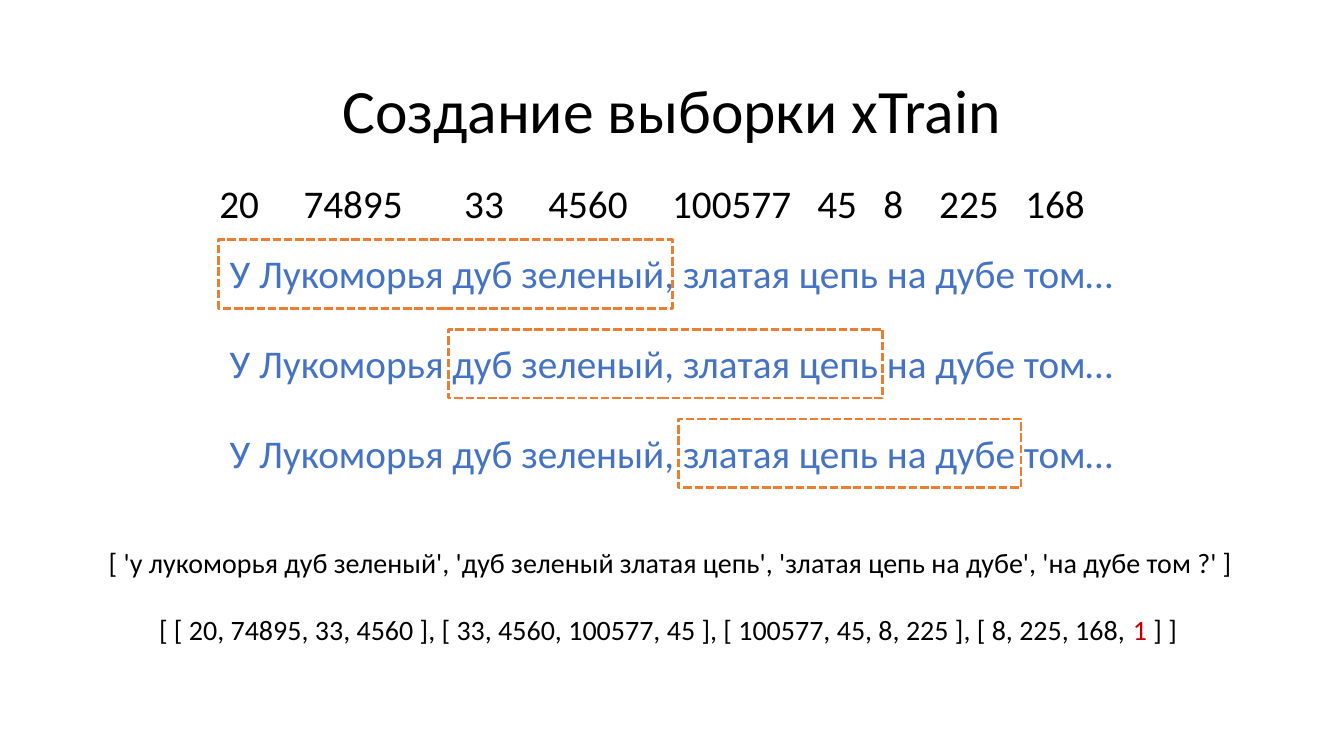
import pptx
import pptx.dml.color
import pptx.enum.dml
import pptx.enum.shapes
import pptx.enum.text
import pptx.util
from lxml import etree
from pptx.util import Cm, Pt

# Content
TITLE = "Создание выборки xTrain"
SENTENCE = "У Лукоморья дуб зеленый, златая цепь на дубе том…"
# Word index and its distance from the first one, cm
INDEXES = [("20", 0), ("74895", 2.12), ("33", 6.17), ("4560", 8.29),
           ("100577", 11.41), ("45", 15.07), ("8", 16.73), ("225", 18.14),
           ("168", 20.31)]
WINDOW_WIDTHS = [11.43, 10.95, 8.64]
WORD_LISTS = ("[ 'у лукоморья дуб зеленый', 'дуб зеленый златая цепь', "
              "'златая цепь на дубе', 'на дубе том ?' ]")
INDEX_LISTS = ("[ [ 20, 74895, 33, 4560 ], [ 33, 4560, 100577, 45 ], "
               "[ 100577, 45, 8, 225 ], [ 8, 225, 168, ")
PADDING_INDEX, CLOSING = "1", " ] ]"

# Theme
THEME = {
    "font": "Calibri",
    "text": "000000", "sentence": "4472C4", "window": "ED7D31",
    "accent": "C00000",
    "title_size": 44, "row_size": 28, "list_size": 20, "dash_width": 2,
}

# Layout, cm
ROW_TOP, ROW_STEP = 6.3, 2.26
WINDOW_LEFT, WINDOW_STEP = 5.51, 5.79
WINDOW_RISE, WINDOW_HEIGHT = 0.26, 1.73


def rgb(name):
    return pptx.dml.color.RGBColor.from_string(THEME[name])


def add_text(s, text, box, size="list_size", color="text", align=None,
             middle=False, wrap=True, spacing=None, before=None, indent=0.25,
             tabs=()):
    """Add a text box; text is a string or a list of (string, color) runs."""
    tf = s.shapes.add_textbox(*map(Cm, box)).text_frame
    tf.word_wrap = wrap
    tf.margin_left = Cm(indent)
    if middle:
        tf.vertical_anchor = pptx.enum.text.MSO_ANCHOR.MIDDLE
    p = tf.paragraphs[0]
    p.alignment = align
    p.line_spacing = spacing
    p.space_before = before
    for part, part_color in [(text, color)] if isinstance(text, str) else text:
        r = p.add_run()
        r.text = part
        r.font.name = THEME["font"]
        r.font.size = Pt(THEME[size])
        r.font.color.rgb = rgb(part_color)
    if tabs:
        ns = pptx.oxml.ns.qn
        tab_list = etree.SubElement(p._p.get_or_add_pPr(), ns("a:tabLst"))
        for pos in tabs:
            etree.SubElement(tab_list, ns("a:tab"), pos=str(Cm(pos)), algn="l")


def add_window(s, left, top, width):
    sp = s.shapes.add_shape(pptx.enum.shapes.MSO_SHAPE.RECTANGLE, Cm(left),
                            Cm(top), Cm(width), Cm(WINDOW_HEIGHT))
    sp.shadow.inherit = False
    sp.fill.background()
    sp.line.color.rgb = rgb("window")
    sp.line.width = Pt(THEME["dash_width"])
    # SQUARE_DOT is stored as sysDot, so the dash value is set afterwards
    sp.line.dash_style = pptx.enum.dml.MSO_LINE.SQUARE_DOT
    sp.line._ln.find(pptx.oxml.ns.qn("a:prstDash")).set("val", "sysDash")


def main():
    prs = pptx.Presentation()
    prs.slide_width, prs.slide_height = Cm(33.87), Cm(19.05)
    s = prs.slides.add_slide(prs.slide_layouts[6])

    # Title
    add_text(s, TITLE, (2.33, 1.01, 29.21, 3.68), size="title_size",
             align=pptx.enum.text.PP_ALIGN.CENTER, middle=True, spacing=0.9)

    # Word indexes
    add_text(s, "\t".join(index for index, _ in INDEXES),
             (5.28, 4.4, 23.47, 1.45), size="row_size",
             tabs=[pos for _, pos in INDEXES[1:]])

    # Sentence with the sliding window
    for i, width in enumerate(WINDOW_WIDTHS):
        top = ROW_TOP + i * ROW_STEP
        add_text(s, SENTENCE, (5.31, top, 23.24, 1.47), size="row_size",
                 color="sentence", spacing=0.9, before=Pt(10), indent=0.48)
        add_window(s, WINDOW_LEFT + i * WINDOW_STEP, top - WINDOW_RISE, width)

    # Resulting lists
    add_text(s, WORD_LISTS, (2.49, 13.61, 29.21, 1.11), wrap=False)
    add_text(s, [(INDEX_LISTS, "text"), (PADDING_INDEX, "accent"),
                 (CLOSING, "text")], (3.76, 15.32, 26.31, 1.11), wrap=False)

    prs.save("out.pptx")


if __name__ == "__main__":
    main()
